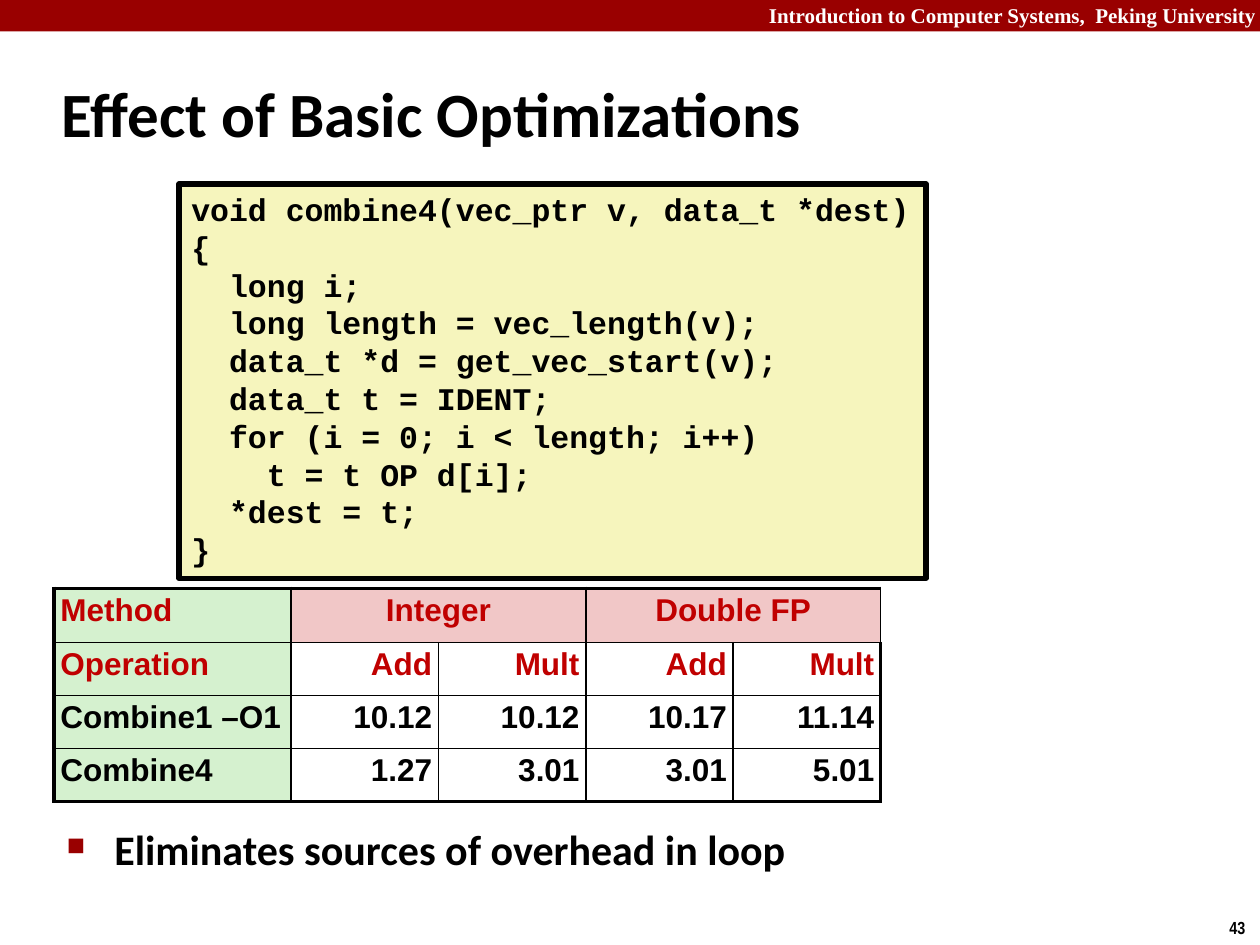
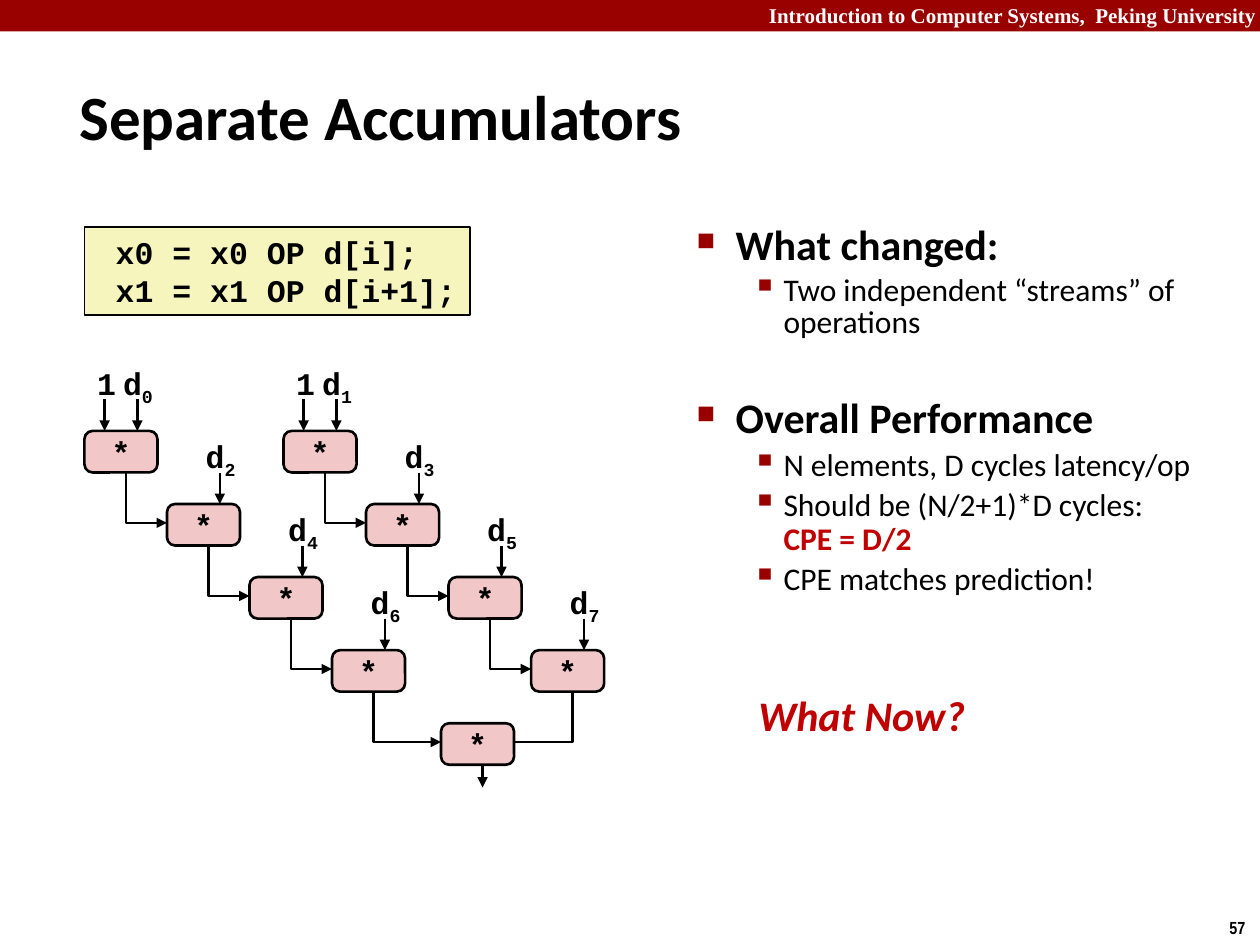
from lxml.etree import SubElement
from pptx import Presentation
from pptx.dml.color import RGBColor
from pptx.enum.shapes import MSO_CONNECTOR as Connector, MSO_SHAPE as Shape
from pptx.enum.text import MSO_ANCHOR as Anchor, MSO_AUTO_SIZE as AutoSize, PP_ALIGN as Align
from pptx.oxml.ns import qn
from pptx.util import Inches, Pt

BLACK = RGBColor(0, 0, 0)
WHITE = RGBColor(255, 255, 255)
MAROON = RGBColor(0x99, 0, 0)
RED = RGBColor(0xC0, 0, 0)
CREAM = RGBColor(0xF6, 0xF5, 0xBD)
PINK = RGBColor(0xF1, 0xC7, 0xC7)
GREEN = RGBColor(0xD5, 0xF1, 0xCF)
CODE_FONT = "Courier New"

COURSE = "Introduction to Computer Systems,  Peking University"

COMBINE_CODE = [
    "void combine4(vec_ptr v, data_t *dest)",
    "{",
    "  long i;",
    "  long length = vec_length(v);",
    "  data_t *d = get_vec_start(v);",
    "  data_t t = IDENT;",
    "  for (i = 0; i < length; i++)",
    "    t = t OP d[i];",
    "  *dest = t;",
    "}",
]
TIMINGS = [
    ["Method", "Integer", "", "Double FP", ""],
    ["Operation", "Add", "Mult", "Add", "Mult"],
    ["Combine1 –O1", "10.12", "10.12", "10.17", "11.14"],
    ["Combine4", "1.27", "3.01", "3.01", "5.01"],
]
COLUMN_WIDTHS = [1.88, 1.17, 1.17, 1.17, 1.17]
ROW_HEIGHTS = [0.43, 0.42, 0.42, 0.42]

STREAM_CODE = [" x0 = x0 OP d[i];", " x1 = x1 OP d[i+1];"]
PLAIN = dict(bold=False)
NOTES = [
    (0, 0.85, 0, [("What changed:", {})]),
    (1, 0.85, 3.6, [("Two independent “streams” of operations", PLAIN)]),
    (0, 0.85, 34, [("Overall Performance", {})]),
    (1, 0.9, 3.6, [("N elements, D cycles latency/op", PLAIN)]),
    (1, 0.9, 3.6, [("Should be (N/2+1)*D cycles:", PLAIN), ("\n", {}),
                   ("CPE = D/2", dict(color=RED))]),
    (1, 0.9, 3.6, [("CPE matches prediction!", PLAIN)]),
]

LANE_LEFTS = [0.67, 2.25]
LANE_TOP, LANE_LENGTH = 3.42, 4
STEP_X, STEP_Y = 0.655, 0.58
NODE_WIDTH, NODE_HEIGHT = 0.58, 0.33
OUT_X, IN_X, ONE_X = 0.33, 0.42, 0.16
ARROW, DROP = 0.25, 0.4
FINAL_LEFT, FINAL_TOP = 3.5, 5.74


def write(para, text, font="Calibri", size=18, color=BLACK, bold=True,
          italic=False, align=None, baseline=None):
    if align is not None:
        para.alignment = align
    span = para.add_run()
    span.text = text
    span.font.name = font
    span.font.size = Pt(size)
    span.font.color.rgb = color
    span.font.bold = bold
    span.font.italic = italic
    if baseline:
        span._r.get_or_add_rPr().set("baseline", str(baseline * 1000))


def set_bullet(para, char, percent, margin, hang):
    props = para._p.get_or_add_pPr()
    props.set("marL", str(Inches(margin)))
    props.set("indent", str(-Inches(hang)))
    color = SubElement(props, qn("a:buClr"))
    SubElement(color, qn("a:srgbClr"), val=str(MAROON))
    SubElement(props, qn("a:buSzPct"), val=str(percent * 1000))
    SubElement(props, qn("a:buChar"), char=char)


def add_text(page, place, text="", wrap=False, inset=None, **style):
    box = page.shapes.add_textbox(*map(Inches, place))
    frame = box.text_frame
    frame.word_wrap = wrap
    if inset is not None:
        frame.margin_left = frame.margin_right = Inches(inset)
    if text:
        write(frame.paragraphs[0], text, **style)
    return frame


def add_box(page, kind, place, fill, line_width=None):
    box = page.shapes.add_shape(kind, *map(Inches, place))
    box.shadow.inherit = False
    box.fill.solid()
    box.fill.fore_color.rgb = fill
    if line_width:
        box.line.color.rgb = BLACK
        box.line.width = Pt(line_width)
    else:
        box.line.fill.background()
    return box


def add_code(page, place, lines, line_width):
    frame = add_box(page, Shape.RECTANGLE, place, CREAM, line_width).text_frame
    frame.word_wrap = False
    frame.vertical_anchor = Anchor.TOP
    for index, line in enumerate(lines):
        para = frame.add_paragraph() if index else frame.paragraphs[0]
        write(para, line, font=CODE_FONT, align=Align.LEFT)


def style_line(line, head=True):
    line.color.rgb = BLACK
    line.width = Pt(1.5)
    if head:
        SubElement(line._get_or_add_ln(), qn("a:tailEnd"), type="triangle")


def add_down_arrow(page, x, top):
    arrow = page.shapes.add_connector(
        Connector.STRAIGHT, Inches(x), Inches(top), Inches(x), Inches(top + ARROW))
    style_line(arrow.line)
    SubElement(arrow._element.spPr, qn("a:effectLst"))


def add_elbow(page, x, top, end_x, head=True):
    bottom = Inches(top + DROP)
    builder = page.shapes.build_freeform(Inches(x), Inches(top))
    builder.add_line_segments([(Inches(x), bottom), (Inches(end_x), bottom)], close=False)
    elbow = builder.convert_to_shape()
    elbow.fill.background()
    style_line(elbow.line, head)
    elbow.shadow.inherit = False


def add_node(page, left, top):
    node = add_box(page, Shape.ROUNDED_RECTANGLE,
                   (left, top, NODE_WIDTH, NODE_HEIGHT), PINK, 1.5)
    node.adjustments[0] = 0.196
    node.text_frame.word_wrap = False
    node.text_frame.vertical_anchor = Anchor.MIDDLE
    write(node.text_frame.paragraphs[0], "*", font=CODE_FONT, align=Align.CENTER)


def add_lane(page, lane, lane_left):
    code = dict(font=CODE_FONT, align=Align.CENTER)
    for step in range(LANE_LENGTH):
        left, top = lane_left + step * STEP_X, LANE_TOP + step * STEP_Y
        bottom = top + NODE_HEIGHT
        add_node(page, left, top)
        add_down_arrow(page, left + IN_X, top - ARROW)
        label = add_text(page, (left + 0.25, top - 0.58, 0.35, 0.4), "d", inset=0.05, **code)
        write(label.paragraphs[0], str(2 * step + lane), baseline=-25, **code)
        if step == 0:
            add_down_arrow(page, left + ONE_X, top - ARROW)
            add_text(page, (left + 0.05, top - 0.58, 0.25, 0.4), "1", inset=0.05, **code)
        if step < LANE_LENGTH - 1:
            add_elbow(page, left + OUT_X, bottom, left + STEP_X)
    return left + OUT_X, bottom


def set_borders(cell, row, column, last_row, last_column):
    edges = [("L", column == 0), ("R", column == last_column),
             ("T", row == 0), ("B", row == last_row)]
    props = cell._tc.get_or_add_tcPr()
    for side, outer in edges:
        line = SubElement(props, qn("a:ln" + side), w=str(Pt(2.25 if outer else 1)))
        fill = SubElement(line, qn("a:solidFill"))
        SubElement(fill, qn("a:srgbClr"), val=str(BLACK))


def add_timings(page, left, top):
    rows, columns = len(TIMINGS), len(COLUMN_WIDTHS)
    table = page.shapes.add_table(
        rows, columns, Inches(left), Inches(top),
        Inches(sum(COLUMN_WIDTHS)), Inches(sum(ROW_HEIGHTS))).table
    table.first_row = table.horz_banding = False
    for column, width in enumerate(COLUMN_WIDTHS):
        table.columns[column].width = Inches(width)
    for row, height in enumerate(ROW_HEIGHTS):
        table.rows[row].height = Inches(height)
        for column, text in enumerate(TIMINGS[row]):
            cell = table.cell(row, column)
            set_borders(cell, row, column, rows - 1, columns - 1)
            cell.fill.solid()
            cell.fill.fore_color.rgb = GREEN if column == 0 else PINK if row == 0 else WHITE
            cell.margin_left = cell.margin_right = Inches(0.05)
            cell.margin_top = cell.margin_bottom = Inches(0.05)
            if text:
                align = Align.LEFT if column == 0 else Align.CENTER if row == 0 else Align.RIGHT
                para = cell.text_frame.paragraphs[0]
                para.line_spacing = 0.95
                write(para, text, font="Arial", color=RED if row < 2 else BLACK, align=align)
    for column in (1, 3):
        table.cell(0, column).merge(table.cell(0, column + 1))


def add_notes(page, place):
    frame = add_text(page, place, wrap=True)
    for index, (level, spacing, before, spans) in enumerate(NOTES):
        para = frame.add_paragraph() if index else frame.paragraphs[0]
        para.level = level
        if level:
            set_bullet(para, "▪", 110, 0.69, 0.25)
        else:
            set_bullet(para, "■", 60, 0.31, 0.31)
        para.line_spacing = spacing
        para.space_before = Pt(before)
        for text, style in spans:
            if text == "\n":
                para.add_line_break()
            else:
                write(para, text, size=18 if level else 24, **style)


def add_page(deck, title, number, left, top):
    page = deck.slides.add_slide(deck.slide_layouts[5])
    add_box(page, Shape.RECTANGLE, (0, 0, 10, 0.25), MAROON)
    add_text(page, (6, -0.03, 4.07, 0.3), COURSE, wrap=True, font="Times New Roman",
             size=12, color=WHITE, align=Align.RIGHT)
    add_text(page, (9.66, 7.23, 0.34, 0.27), number, font="Arial Narrow", size=10)
    box = page.shapes.title
    box.left, box.top, box.width, box.height = map(Inches, (left, top, 8.3, 0.83))
    box.text_frame.auto_size = AutoSize.NONE
    box.text_frame.vertical_anchor = Anchor.MIDDLE
    write(box.text_frame.paragraphs[0], title, size=36, align=Align.LEFT)
    return page


def build_optimizations(deck):
    page = add_page(deck, "Effect of Basic Optimizations", "43", 0.39, 0.48)
    add_code(page, (1.42, 1.46, 5.93, 3.13), COMBINE_CODE, 3)
    add_timings(page, 0.43, 4.67)
    frame = add_text(page, (0.43, 6.49, 8.64, 0.59), wrap=True)
    set_bullet(frame.paragraphs[0], "■", 60, 0.38, 0.38)
    write(frame.paragraphs[0], "Eliminates sources of overhead in loop", size=24)


def build_accumulators(deck):
    page = add_page(deck, "Separate Accumulators", "57", 0.53, 0.5)
    add_code(page, (0.67, 1.8, 3.06, 0.7), STREAM_CODE, 1)
    (even_x, bottom), (odd_x, _) = [
        add_lane(page, lane, left) for lane, left in enumerate(LANE_LEFTS)]
    add_elbow(page, even_x, bottom, FINAL_LEFT)
    add_elbow(page, odd_x, bottom, FINAL_LEFT + NODE_WIDTH, head=False)
    add_down_arrow(page, FINAL_LEFT + OUT_X, 6)
    add_node(page, FINAL_LEFT, FINAL_TOP)
    add_notes(page, (5.43, 1.75, 4.32, 3.42))
    add_text(page, (5.92, 5.42, 1.86, 0.5), "What Now?", size=24, color=RED, italic=True)


def main():
    deck = Presentation()
    deck.slide_width, deck.slide_height = Inches(10), Inches(7.5)
    build_optimizations(deck)
    build_accumulators(deck)
    deck.save("out.pptx")


if __name__ == "__main__":
    main()
